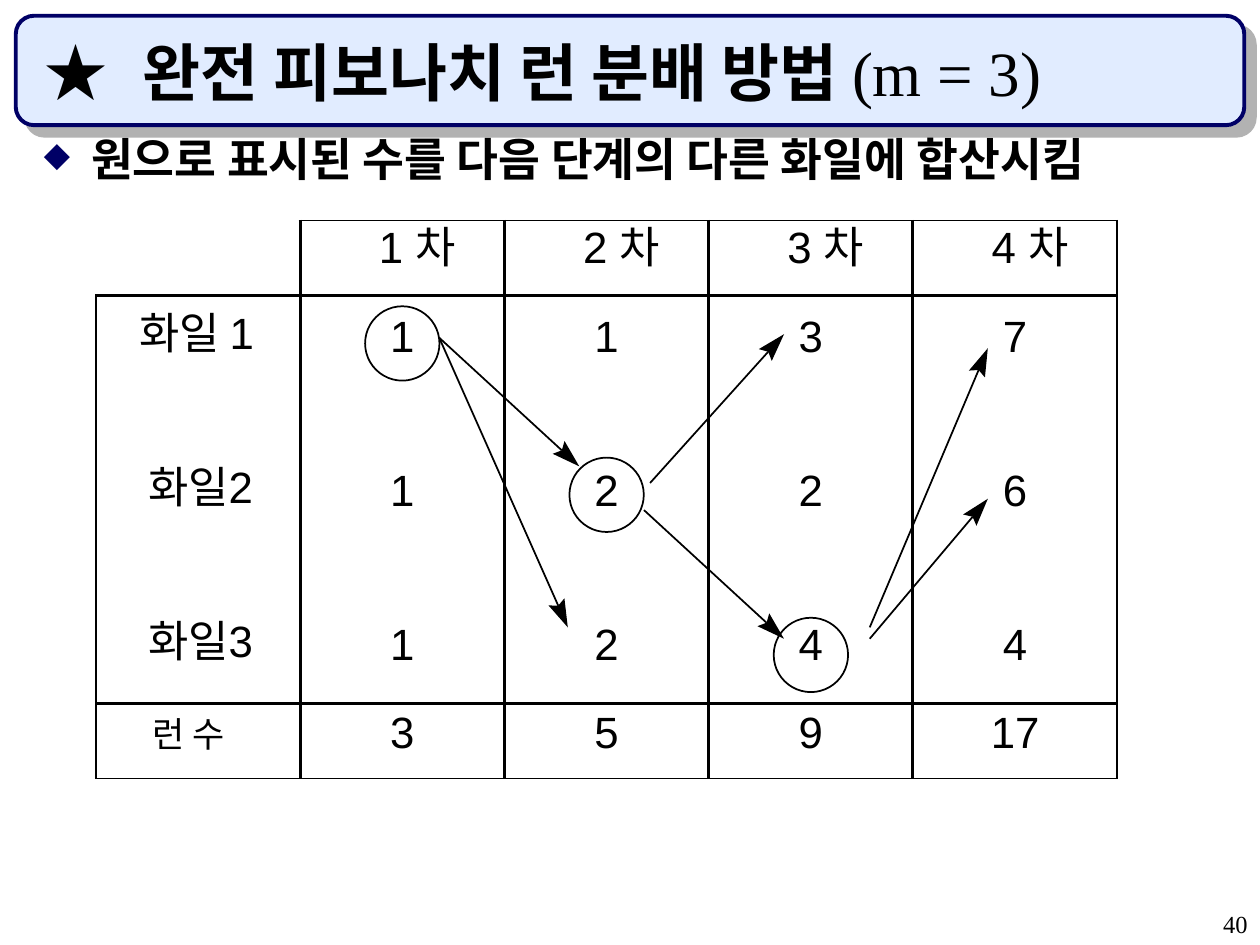
"""Build the slide on distributing perfect Fibonacci runs over three files."""
import math

import lxml.etree
import pptx
import pptx.dml.color
import pptx.enum.shapes
import pptx.enum.text
import pptx.oxml
import pptx.oxml.ns
import pptx.util

Pt = pptx.util.Pt
BLACK = pptx.dml.color.RGBColor(0x00, 0x00, 0x00)
NAVY = pptx.dml.color.RGBColor(0x00, 0x00, 0x66)
PALE_BLUE = pptx.dml.color.RGBColor(0xE1, 0xEC, 0xFF)
SHADOW_GREY = pptx.dml.color.RGBColor(0xB2, 0xB2, 0xB2)
SERIF, SANS, HANGUL = "Times New Roman", "Arial", "Noto Sans CJK KR"
ALIGN = pptx.enum.text.PP_ALIGN
SHAPE = pptx.enum.shapes.MSO_SHAPE
NAMESPACE = pptx.oxml.ns.nsdecls("a")


def write(frame, text, size, font=SANS, bold=False, align=ALIGN.LEFT, spacing=None):
    paragraph = frame.paragraphs[0]
    paragraph.alignment = align
    paragraph.line_spacing = spacing
    run = paragraph.add_run()
    run.text = text
    run.font.size = Pt(size)
    run.font.name = font
    run.font.bold = bold
    run.font.color.rgb = BLACK
    east_asian = lxml.etree.SubElement(run.font._element, pptx.oxml.ns.qn("a:ea"))
    east_asian.set("typeface", HANGUL)
    return paragraph


def add_xml(parent, markup):
    parent.append(pptx.oxml.parse_xml(markup))


presentation = pptx.Presentation()
presentation.slide_width, presentation.slide_height = Pt(720), Pt(540)
slide = presentation.slides.add_slide(presentation.slide_layouts[5])
shapes = slide.shapes

title = shapes.title
title.left, title.top, title.width, title.height = Pt(18), Pt(18), Pt(678), Pt(48)
title.text_frame.auto_size = pptx.enum.text.MSO_AUTO_SIZE.NONE
title.text_frame.vertical_anchor = pptx.enum.text.MSO_ANCHOR.BOTTOM
heading = write(title.text_frame, "★\t완전 피보나치 런 분배 방법 ", 36, SERIF, bold=True)
write(title.text_frame, "(m = 3)", 36, SERIF)
add_xml(heading._p.get_or_add_pPr(),
        f'<a:tabLst {NAMESPACE}><a:tab pos="{Pt(56.5)}" algn="l"/></a:tabLst>')

banner = shapes.add_shape(SHAPE.ROUNDED_RECTANGLE, Pt(9), Pt(9), Pt(702), Pt(62.5))
banner.fill.solid()
banner.fill.fore_color.rgb = PALE_BLUE
banner.line.color.rgb = NAVY
banner.line.width = Pt(2.25)
add_xml(banner._element.spPr,
        f'<a:effectLst {NAMESPACE}><a:outerShdw dist="{Pt(8.5)}" dir="2700000" algn="ctr" '
        f'rotWithShape="0"><a:srgbClr val="{SHADOW_GREY}"/></a:outerShdw></a:effectLst>')
title._element.addprevious(banner._element)

page_number = shapes.add_textbox(Pt(570), Pt(516), Pt(150), Pt(24))
page_number.text_frame.word_wrap = True
write(page_number.text_frame, "40", 14, SERIF, align=ALIGN.RIGHT)

summary = shapes.add_textbox(Pt(18), Pt(77.5), Pt(678), Pt(40))
summary.text_frame.word_wrap = True
point = write(summary.text_frame, "원으로 표시된 수를 다음 단계의 다른 화일에 합산시킴",
              26, SERIF, bold=True, spacing=0.8)
point_format = point._p.get_or_add_pPr()
point_format.set("marL", str(Pt(27)))
point_format.set("indent", str(-Pt(27)))
for bullet_part in (f'<a:buClr {NAMESPACE}><a:srgbClr val="{NAVY}"/></a:buClr>',
                    f'<a:buSzPct {NAMESPACE} val="75000"/>',
                    f'<a:buChar {NAMESPACE} char="◆"/>'):
    add_xml(point_format, bullet_part)

RUNS = [
    ["", "1 차", "2 차", "3 차", "4 차"],
    ["화일 1", "1", "1", "3", "7"],
    ["화일2", "1", "2", "2", "6"],
    ["화일3", "1", "2", "4", "4"],
    ["런 수", "3", "5", "9", "17"],
]
TABLE_LEFT, TABLE_TOP, COLUMN_WIDTH = 54.75, 126, 116.75
ROW_HEIGHTS = [43, 88, 88, 57, 43]
TOP_MARGINS = [2, 8, 8, 8, 1]
LABEL_INDENTS = [0, 25, 30, 30, 32.5]
ROW_RULES = [1, 2, 0, 0, 2, 1]
COLUMN_RULES = [1, 2, 2, 2, 2, 1]

run_table = shapes.add_table(5, 5, Pt(TABLE_LEFT), Pt(TABLE_TOP),
                             Pt(5 * COLUMN_WIDTH), Pt(sum(ROW_HEIGHTS))).table
run_table.first_row = run_table.horz_banding = False
for column in run_table.columns:
    column.width = Pt(COLUMN_WIDTH)
for r, values in enumerate(RUNS):
    run_table.rows[r].height = Pt(ROW_HEIGHTS[r])
    for c, value in enumerate(values):
        cell = run_table.cell(r, c)
        cell.fill.background()
        cell.margin_left = cell.margin_right = cell.margin_bottom = 0
        cell.margin_top = Pt(TOP_MARGINS[r])
        rules = {"L": COLUMN_RULES[c], "R": COLUMN_RULES[c + 1],
                 "T": ROW_RULES[r], "B": ROW_RULES[r + 1]}
        if r == c == 0:
            rules.update(L=0, T=0)
        for position, (side, width) in enumerate(rules.items()):
            paint = (f'<a:solidFill><a:srgbClr val="{BLACK}"/></a:solidFill>'
                     if width else "<a:noFill/>")
            cell._tc.get_or_add_tcPr().insert(position, pptx.oxml.parse_xml(
                f'<a:ln{side} {NAMESPACE} w="{Pt(width)}">{paint}</a:ln{side}>'))
        if not value:
            continue
        is_label = r == 0 or c == 0
        if is_label:
            cell.margin_left = Pt(45 if r == 0 else LABEL_INDENTS[r])
        write(cell.text_frame, value, 20 if (r, c) == (4, 0) else 25,
              align=ALIGN.LEFT if is_label else ALIGN.CENTER, spacing=Pt(30))

CIRCLE = 42.5
for stage, circle_top in enumerate([175, 261.5, 353], start=1):
    center = TABLE_LEFT + (stage + 0.5) * COLUMN_WIDTH
    circle = shapes.add_shape(SHAPE.OVAL, Pt(center - CIRCLE / 2), Pt(circle_top),
                              Pt(CIRCLE), Pt(CIRCLE))
    circle.shadow.inherit = False
    circle.fill.background()
    circle.line.color.rgb = BLACK
    circle.line.width = Pt(1)

HEAD_LENGTH, HEAD_NOTCH, HEAD_HALF_WIDTH = 16, 13.5, 5
ADDITIONS = [
    ((251, 193), (331, 266.5)),
    ((368, 291.5), (448, 365)),
    ((251, 193), (324.5, 358.5)),
    ((497, 365), (564.5, 285)),
    ((497, 358.5), (564.5, 199)),
    ((371.5, 276), (448, 191)),
]
for (start_x, start_y), (tip_x, tip_y) in ADDITIONS:
    angle = math.atan2(tip_y - start_y, tip_x - start_x)
    dx, dy = math.cos(angle), math.sin(angle)
    notch = (tip_x - HEAD_NOTCH * dx, tip_y - HEAD_NOTCH * dy)
    barbs = [(tip_x - HEAD_LENGTH * dx - side * dy, tip_y - HEAD_LENGTH * dy + side * dx)
             for side in (HEAD_HALF_WIDTH, -HEAD_HALF_WIDTH)]
    shaft = shapes.add_connector(pptx.enum.shapes.MSO_CONNECTOR.STRAIGHT,
                                 Pt(start_x), Pt(start_y), Pt(notch[0]), Pt(notch[1]))
    shaft.line.color.rgb = BLACK
    shaft.line.width = Pt(1)
    add_xml(shaft._element.spPr, f"<a:effectLst {NAMESPACE}/>")
    outline = shapes.build_freeform(Pt(tip_x), Pt(tip_y))
    outline.add_line_segments([(Pt(x), Pt(y)) for x, y in (barbs[0], notch, barbs[1])])
    head = outline.convert_to_shape()
    head.shadow.inherit = False
    head.fill.solid()
    head.fill.fore_color.rgb = BLACK
    head.line.fill.background()

presentation.save("out.pptx")
